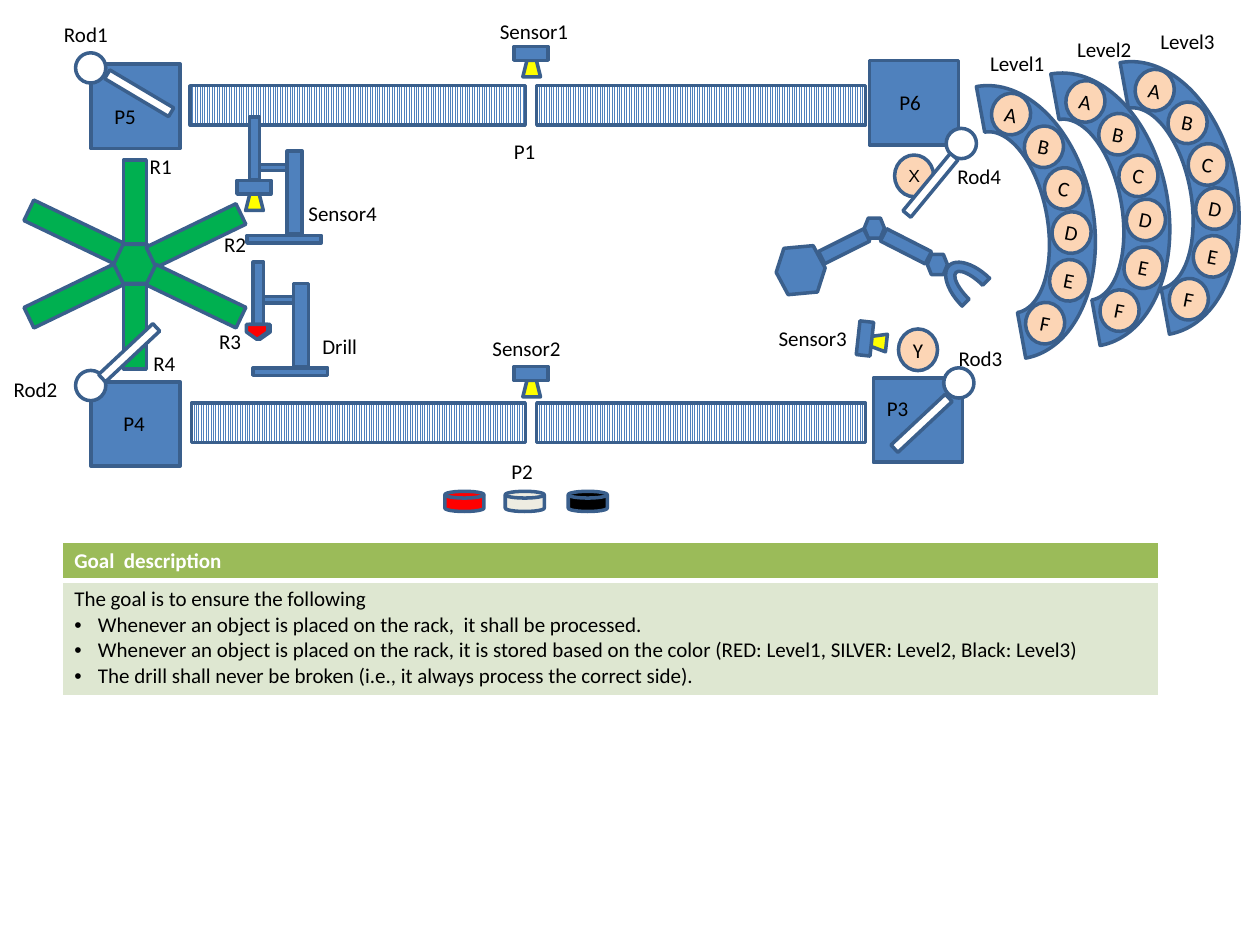
from lxml.etree import SubElement
from pptx import Presentation
from pptx.dml.color import RGBColor
from pptx.enum.dml import MSO_PATTERN
from pptx.enum.shapes import MSO_SHAPE as SHAPE
from pptx.enum.text import MSO_ANCHOR, PP_ALIGN
from pptx.oxml.ns import qn
from pptx.util import Pt

BLUE, EDGE, GREEN, PEACH = "4F81BD", "3A5F8C", "00B050", "FCD5B5"
WHITE, BLACK, RED, YELLOW = "FFFFFF", "000000", "FF0000", "FFFF00"
HEXAGON = SHAPE.FLOWCHART_PREPARATION

LABELS = [
    ("Level1", 558.7, 25.2), ("Level2", 608.4, 17.3), ("Level3", 656, 13),
    ("Sensor1", 278.6, 7.2), ("Sensor2", 274.3, 188), ("Sensor3", 437.8, 182.2),
    ("Sensor4", 169.2, 110.9), ("Drill", 177.1, 187.2),
    ("R1", 78.5, 84.2), ("R2", 121, 128.9), ("R3", 118.1, 184.3), ("R4", 80.6, 196.6),
    ("P1", 286.6, 75.6), ("P2", 285.1, 258.5), ("P3", 499.7, 222.5),
    ("P4", 63.4, 231.1), ("P5", 58.3, 55.4), ("P6", 506.9, 47.5),
    ("Rod1", 29.5, 8.6), ("Rod2", 0.7, 211.7), ("Rod3", 540.7, 193.7), ("Rod4", 540, 90),
]
GOALS = [
    "Whenever an object is placed on the rack,  it shall be processed.",
    "Whenever an object is placed on the rack, it is stored based on the color "
    "(RED: Level1, SILVER: Level2, Black: Level3)",
    "The drill shall never be broken (i.e., it always process the correct side).",
]


def rgb(color):
    return RGBColor.from_string(color)


def add_run(p, text, color=BLACK, **fmt):
    r = p.add_run()
    r.text = text
    r.font.color.rgb = rgb(color)
    for name, value in {"size": Pt(12), "name": "Calibri", "bold": False, **fmt}.items():
        setattr(r.font, name, value)


def part(s, kind, x, y, w, h, color=BLUE, rot=0):
    sp = s.shapes.add_shape(kind, Pt(x), Pt(y), Pt(w), Pt(h))
    sp.rotation = rot
    sp.shadow.inherit = False
    sp.fill.solid()
    sp.fill.fore_color.rgb = rgb(color)
    sp.line.color.rgb = rgb(EDGE)
    sp.line.width = Pt(2)
    return sp


def bar(s, *args, **kw):
    return part(s, SHAPE.RECTANGLE, *args, **kw)


def conveyor(s, x, y, w):
    fill = bar(s, x, y, w, 22.5).fill
    fill.patterned()
    fill.pattern = MSO_PATTERN.LIGHT_VERTICAL
    fill.fore_color.rgb = rgb(BLUE)
    fill.back_color.rgb = rgb(WHITE)


def token(s, letter, x, y, rot=0, **fmt):
    """Lettered storage slot or work piece."""
    tf = part(s, SHAPE.OVAL, x, y, 22.3, 23.8, PEACH, rot).text_frame
    for name in ("margin_left", "margin_right", "margin_top", "margin_bottom"):
        setattr(tf, name, 0)
    tf.word_wrap = False
    tf.vertical_anchor = MSO_ANCHOR.MIDDLE
    p = tf.paragraphs[0]
    p.alignment = PP_ALIGN.CENTER
    add_run(p, letter, **fmt)


def pusher(s, station, ball, rod, rot):
    """Square station with a rod that turns about a ball at its corner."""
    bar(s, *station, 51, 48.2)
    part(s, SHAPE.OVAL, *ball, 17.3, 17.3, WHITE)
    bar(s, *rod, 42.5, 5.8, WHITE, rot=rot)


def rotor(s):
    part(s, HEXAGON, 64.1, 139.7, 25.2, 22.3, GREEN)
    for y in (91.4, 162.7):
        bar(s, 70.6, y, 13, 48.2, GREEN)
    for x, y, rot in [(83.5, 128.2, 334.2), (13.7, 162.7, 334.2),
                      (83.5, 162.7, 25.6), (13.7, 126, 25.6)]:
        bar(s, x, y, 57, 13, GREEN, rot=rot)


def robot(s):
    part(s, SHAPE.BLOCK_ARC, 546.5, 145.4, 22.3, 43.2, rot=314.6)
    part(s, HEXAGON, 493.9, 124.6, 11.5, 11.5)
    bar(s, 503.3, 136.8, 28.8, 7.9, rot=27)
    part(s, HEXAGON, 529.9, 145.4, 11.5, 11.5)
    part(s, HEXAGON, 443.5, 141.1, 28.1, 26.6, rot=354.8)
    bar(s, 468, 136.8, 28.8, 7.9, rot=333.4)


def stand(s, x, y, spindle):
    bar(s, x, y, 42.5, 4.3)
    bar(s, x + 23, y - 48.2, 8.6, 47.5)
    bar(s, x + 5.8, y - 40.7, 17.3, 3.6)
    part(s, SHAPE.FLOWCHART_PROCESS, *spindle, 5.8, 36)


def sensor(s, x, y, lens=(5, 7.9), rot=0):
    part(s, SHAPE.TRAPEZOID, x + lens[0], y + lens[1], 10.1, 9.4, YELLOW, rot)
    bar(s, x, y, 19.4, 7.9, rot=rot)


def rack_level(s, x, y):
    part(s, SHAPE.BLOCK_ARC, x, y, 157.7, 105.8, rot=79.7)
    slots = [(92.9, 98.6), (106.6, 74.1), (108, 46.8), (103.7, 21.6), (92.2, -2.2), (73.4, -20.9)]
    for letter, (dx, dy) in zip("FEDCBA", slots):
        token(s, letter, x + dx, y + dy, 11.1)


def label(s, text, x, y):
    tf = s.shapes.add_textbox(Pt(x), Pt(y), Pt(56), Pt(21.6)).text_frame
    tf.word_wrap = True
    add_run(tf.paragraphs[0], text)


def set_borders(cell, **widths):
    tc_pr = cell._tc.get_or_add_tcPr()
    for i, side in enumerate(("lnL", "lnR", "lnT", "lnB")):
        ln = tc_pr.makeelement(qn("a:" + side), {"w": str(Pt(widths.get(side, 1)))})
        fill = SubElement(ln, qn("a:solidFill"))
        SubElement(fill, qn("a:srgbClr"), val=WHITE)
        tc_pr.insert(i, ln)


def add_bullet(p):
    p_pr = p._p.get_or_add_pPr()
    p_pr.set("marL", str(Pt(13.5)))
    p_pr.set("indent", str(Pt(-13.5)))
    SubElement(p_pr, qn("a:buFont"), typeface="Arial")
    SubElement(p_pr, qn("a:buChar"), char="•")


def goal_table(s):
    tbl = s.shapes.add_table(2, 1, Pt(35.3), Pt(309.6), Pt(627), Pt(87)).table
    head, body = tbl.cell(0, 0), tbl.cell(1, 0)
    for row, height in zip(tbl.rows, (22, 65)):
        row.height = Pt(height)
    for cell, color in ((head, "9BBB59"), (body, "DEE7D1")):
        cell.fill.solid()
        cell.fill.fore_color.rgb = rgb(color)
    set_borders(head, lnB=3)
    set_borders(body, lnT=3)
    add_run(head.text_frame.paragraphs[0], "Goal  description", WHITE, bold=True)
    tf = body.text_frame
    add_run(tf.paragraphs[0], "The goal is to ensure the following")
    for goal in GOALS:
        p = tf.add_paragraph()
        add_bullet(p)
        add_run(p, goal)


def main():
    prs = Presentation()
    prs.slide_width, prs.slide_height = Pt(720), Pt(540)
    s = prs.slides.add_slide(prs.slide_layouts[6])
    goal_table(s)
    rotor(s)
    for belt in [(306.7, 49, 188), (109.4, 230.4, 190.8), (306.7, 230.4, 188), (108.7, 49, 191.5)]:
        conveyor(s, *belt)
    robot(s)
    token(s, "X", 511.2, 88.6, size=Pt(10), name="Arial")
    token(s, "Y", 513.4, 188)
    pusher(s, (52, 36.7), (43.2, 30.2), (58.3, 50.4), 30.7)
    pusher(s, (52, 218.2), (43.2, 211.7), (52.6, 198.7), 316.9)
    pusher(s, (499, 216), (539.3, 210.2), (505.4, 239), 316.9)
    pusher(s, (496.8, 34.6), (540.7, 73.4), (510.5, 103), 309.5)
    stand(s, 141.1, 134.6, (142.6, 67))
    stand(s, 144.7, 210.2, (144.7, 149.8))
    for x in (144, 142.6):
        part(s, SHAPE.PENTAGON, x, 183.6, 8.6, 12.2, RED, 90)
    for x, y in [(293.8, 26.6), (293.8, 209.5), (135.4, 103)]:
        sensor(s, x, y)
    sensor(s, 484.6, 189.4, lens=(12.2, 1.4), rot=276.3)
    for x, color in [(254.2, RED), (288.7, "EEECE1"), (324.7, BLACK)]:
        part(s, SHAPE.FLOWCHART_MAGNETIC_DISK, x, 280.8, 22.3, 11.5, color)
    for x, y in [(493.2, 74.2), (535.7, 67), (575.3, 60.5)]:
        rack_level(s, x, y)
    for text, x, y in LABELS:
        label(s, text, x, y)
    prs.save("out.pptx")


if __name__ == "__main__":
    main()
